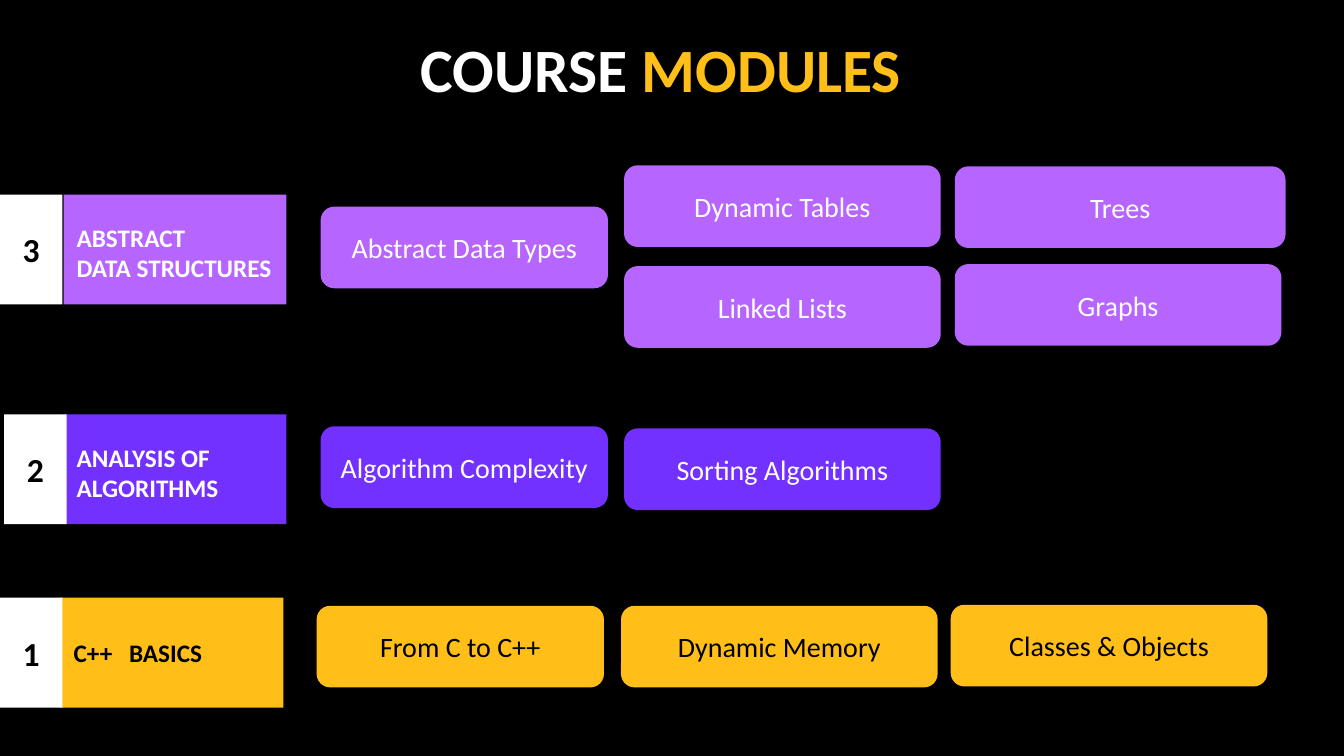
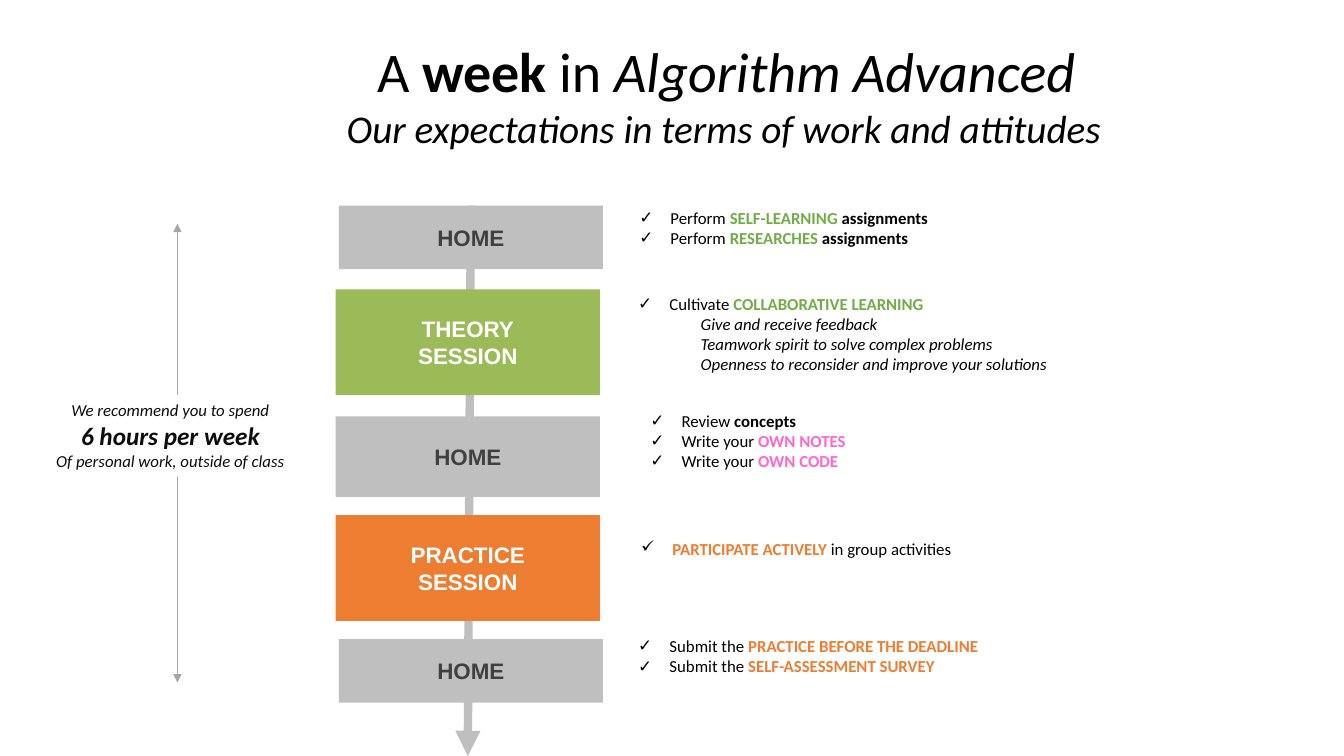
from lxml.etree import SubElement
from pptx import Presentation
from pptx.dml.color import RGBColor
from pptx.enum.shapes import MSO_CONNECTOR, MSO_SHAPE
from pptx.enum.text import MSO_ANCHOR, MSO_AUTO_SIZE, PP_ALIGN
from pptx.oxml.ns import qn
from pptx.util import Pt

PX = 9144
BLACK, WHITE, GOLD = "000000", "FFFFFF", "FFBE18"
VIOLET, LILAC = "7331FF", "B665FF"
GREY, DARK, LIME, ORANGE = "BFBFBF", "404040", "9BBB59", "ED7D31"
GREEN, PINK = "70AD47", "FF66CC"
MID, TOP = MSO_ANCHOR.MIDDLE, MSO_ANCHOR.TOP
LEFT, CENTER = PP_ALIGN.LEFT, PP_ALIGN.CENTER
RECT, ROUND = MSO_SHAPE.RECTANGLE, MSO_SHAPE.ROUNDED_RECTANGLE


def hue(code):
    """Turn a hex string into a colour."""
    return RGBColor.from_string(code)


def look(size, color, **more):
    """Give the format values of a run."""
    return {"name": "Calibri", "size": Pt(size), "color": color,
            "bold": False, "italic": False, **more}


def bold(text, color=BLACK):
    """Give a bold run in a colour."""
    return text, {"bold": True, "color": color}


class Deck:
    """Hold the style and the current slide."""

    def __init__(self):
        """Start a wide deck."""
        self.file = Presentation()
        self.file.slide_width, self.file.slide_height = 1333 * PX, 750 * PX

    def page(self, layout, back):
        """Add a slide with a plain background."""
        self.slide = self.file.slides.add_slide(self.file.slide_layouts[layout])
        self.slide.background.fill.solid()
        self.slide.background.fill.fore_color.rgb = hue(back)
        self.free = [p for p in self.slide.placeholders
                     if p.placeholder_format.idx > 0]

    def place(self, shape, area):
        """Move a shape to an area in px."""
        for key, value in zip(("left", "top", "width", "height"), area):
            setattr(shape, key, value * PX)

    def label(self, shape, paras, base, align=LEFT, anchor=TOP,
              pad=(10, 5, 10, 5), space=1.0):
        """Put paragraphs of runs into a shape."""
        frame = shape.text_frame
        frame.auto_size = MSO_AUTO_SIZE.NONE
        values = {"word_wrap": True, "vertical_anchor": anchor}
        sides = ("margin_left", "margin_top", "margin_right", "margin_bottom")
        values.update((side, gap * PX) for side, gap in zip(sides, pad))
        for key, value in values.items():
            setattr(frame, key, value)
        for num, runs in enumerate(paras):
            para = frame.add_paragraph() if num else frame.paragraphs[0]
            para.alignment, para.line_spacing = align, space
            para.space_before = para.space_after = Pt(0)
            for item in [runs] if isinstance(runs, str) else runs:
                text, extra = (item, {}) if isinstance(item, str) else item
                run = para.add_run()
                run.text = text
                for key, value in {**base, **extra}.items():
                    if key == "color":
                        run.font.color.rgb = hue(value)
                    else:
                        setattr(run.font, key, value)
        return frame

    def title(self, area, runs, base, align, space=1.0):
        """Fill the title placeholder."""
        shape = self.slide.shapes.title
        self.place(shape, area)
        self.label(shape, [runs], base, align, space=space)

    def text(self, area, paras, base, **rest):
        """Add a text box."""
        shape = self.slide.shapes.add_textbox(*(n * PX for n in area))
        self.label(shape, paras, base, **rest)
        return shape

    def box(self, area, fill, paras, base, kind=RECT, align=CENTER,
            anchor=MID, **rest):
        """Add a filled shape with text."""
        shape = self.slide.shapes.add_shape(kind, *(n * PX for n in area))
        shape.shadow.inherit = False
        shape.fill.solid()
        shape.fill.fore_color.rgb = hue(fill)
        shape.line.fill.background()
        self.label(shape, paras, base, align, anchor, **rest)
        return shape

    def ticks(self, area, paras, subs=()):
        """Add a check list, in a body placeholder while one is free."""
        base = look(12, BLACK)
        if self.free:
            shape = self.free.pop(0)
            self.place(shape, area)
            self.label(shape, [*paras, *subs], base)
        else:
            shape = self.text(area, [*paras, *subs], base)
        for num, para in enumerate(shape.text_frame.paragraphs):
            props = para._p.get_or_add_pPr()
            tick = num < len(paras)
            props.set("marL", str((31 if tick else 62) * PX))
            props.set("indent", str(-31 * PX if tick else 0))
            if tick:
                color = SubElement(props, qn("a:buClr"))
                SubElement(color, qn("a:srgbClr"), val=BLACK)
                SubElement(props, qn("a:buChar"), char="✓")
            else:
                SubElement(props, qn("a:buNone"))
                for run in para.runs:
                    run.font.italic = True

    def arrow(self, start, end, color, width, heads):
        """Add a straight line with arrowheads."""
        line = self.slide.shapes.add_connector(
            MSO_CONNECTOR.STRAIGHT, *(n * PX for n in (*start, *end)))
        line.line.color.rgb = hue(color)
        line.line.width = Pt(width)
        for head in heads:
            SubElement(line.line._get_or_add_ln(), qn(head), type="triangle")
        SubElement(line._element.spPr, qn("a:effectLst"))
        return line


def course(deck):
    """Draw the modules of the course."""
    deck.page(5, BLACK)
    deck.title((338, 26, 635, 84), ["COURSE ", ("MODULES", {"color": GOLD})],
               look(44, WHITE, bold=True), CENTER)
    rows = [
        ("3", 0, 63, 193, LILAC, WHITE, 6, ["ABSTRACT", "DATA STRUCTURES"],
         [("Abstract Data Types", 318, 205, 285),
          ("Dynamic Tables", 619, 164, 314), ("Linked Lists", 619, 264, 314),
          ("Trees", 947, 165, 328), ("Graphs", 947, 262, 324)]),
        ("2", 4, 63, 411, VIOLET, WHITE, 6, ["ANALYSIS OF ALGORITHMS"],
         [("Algorithm Complexity", 318, 423, 285),
          ("Sorting Algorithms", 619, 425, 314)]),
        ("1", 0, 60, 593, GOLD, BLACK, 0, ["C++\tBASICS"],
         [("From C to C++", 314, 601, 285), ("Dynamic Memory", 616, 601, 314),
          ("Classes & Objects", 943, 600, 314)]),
    ]
    for num, left, band, top, fill, ink, drop, name, cards in rows:
        head = deck.box((band, top, 221, 109), fill, name,
                        look(18, ink, bold=True), align=LEFT,
                        pad=(13, drop, 0, 0))
        for para in head.text_frame.paragraphs:
            if "\t" in para.text:
                tabs = SubElement(para._p.get_or_add_pPr(), qn("a:tabLst"))
                SubElement(tabs, qn("a:tab"), pos=str(55 * PX), algn="l")
        deck.box((left, top, 62, 109), WHITE, [num],
                 look(24, BLACK, bold=True))
        for text, x, y, width in cards:
            deck.box((x, y, width, 81), fill, [text], look(20, ink), ROUND)


def week(deck):
    """Draw the steps of a week."""
    deck.page(4, WHITE)
    deck.title((364, 21, 754, 88),
               ["A ", bold("week"), " in ",
                ("Algorithm Advanced", {"italic": True})],
               look(40, BLACK), LEFT, 1.15)
    deck.text((334, 92, 816, 64),
              ["Our expectations in terms of work and attitudes"],
              look(28, BLACK, italic=True), space=1.15)

    spine = deck.arrow((464, 750), (467, 204), GREY, 6, ["a:headEnd"])
    steps = [
        (336, 204, 63, GREY, DARK, ["HOME"]),
        (333, 287, 105, LIME, WHITE, ["THEORY", "SESSION"]),
        (333, 413, 80, GREY, DARK, ["HOME"]),
        (333, 511, 105, ORANGE, WHITE, ["PRACTICE", "SESSION"]),
        (336, 634, 63, GREY, DARK, ["HOME"]),
    ]
    boxes = [deck.box((x, y, 262, high), fill, name,
                      look(16, ink, bold=True, name="Arial"))
             for x, y, high, fill, ink, name in steps]
    spine.end_connect(boxes[0], 0)

    deck.ticks((624, 201, 647, 50), [
        ["Perform ", bold("SELF-LEARNING ", GREEN), bold("assignments")],
        ["Perform ", bold("RESEARCHES", GREEN), bold(" assignments")]])
    deck.ticks((623, 286, 495, 91),
               [["Cultivate ", bold("COLLABORATIVE LEARNING", GREEN)]],
               ["Give and receive feedback",
                "Teamwork spirit to solve complex problems",
                "Openness to reconsider and improve your solutions"])
    deck.ticks((635, 402, 379, 71), [
        ["Review ", bold("concepts")],
        ["Write your ", bold("OWN NOTES", PINK)],
        ["Write your ", bold("OWN CODE", PINK)]])
    deck.ticks((623, 626, 541, 50), [
        ["Submit the ", bold("PRACTICE BEFORE THE DEADLINE", ORANGE)],
        ["Submit the ", bold("SELF-ASSESSMENT SURVEY", ORANGE)]])
    deck.ticks((626, 530, 541, 30), [
        [bold("PARTICIPATE ACTIVELY ", ORANGE), "in group activities"]])

    deck.arrow((176, 222), (176, 677), "A6A6A6", 0.75,
               ["a:headEnd", "a:tailEnd"])
    deck.box((43, 392, 252, 81), WHITE,
             ["We recommend you to spend",
              [("6 hours per week", {"size": Pt(18), "bold": True})],
              "Of personal work, outside of class"],
             look(12, "0D0D0D", italic=True), anchor=TOP)


def main():
    """Build and save the deck."""
    deck = Deck()
    course(deck)
    week(deck)
    deck.file.save("out.pptx")


if __name__ == "__main__":
    main()
